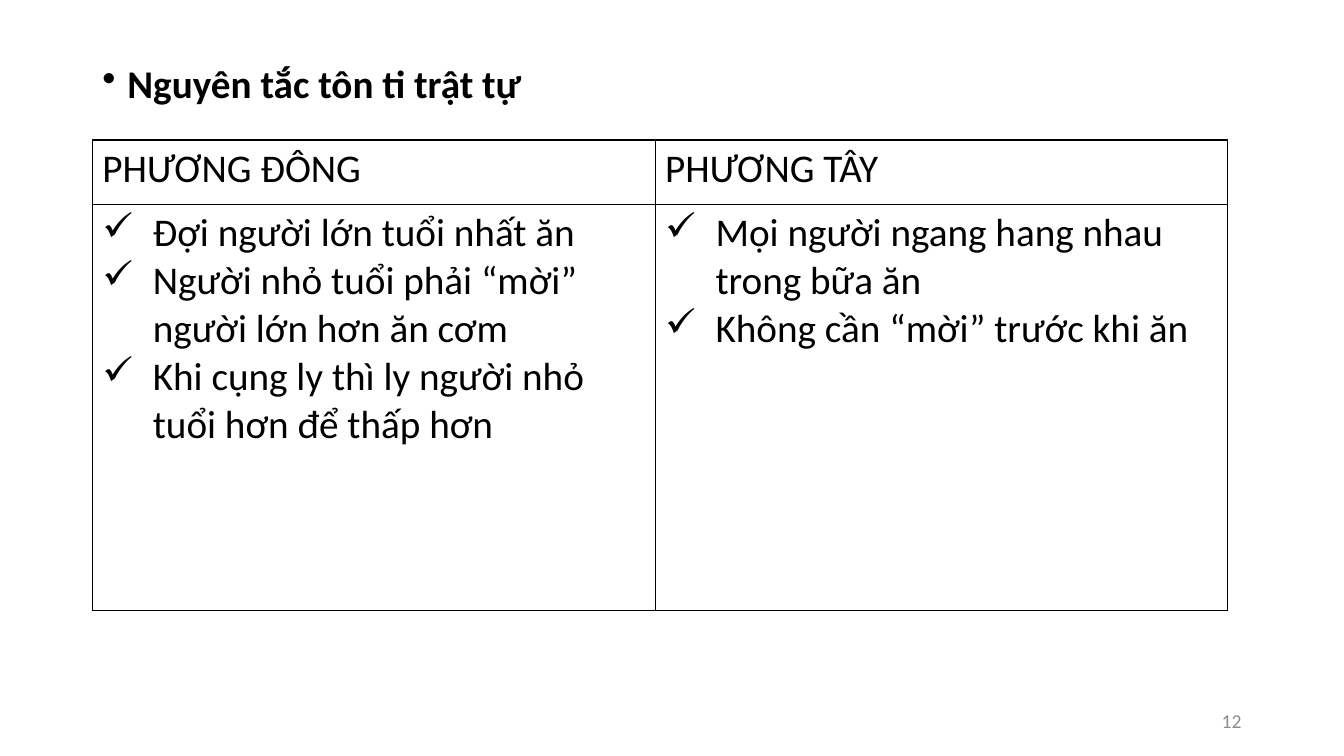
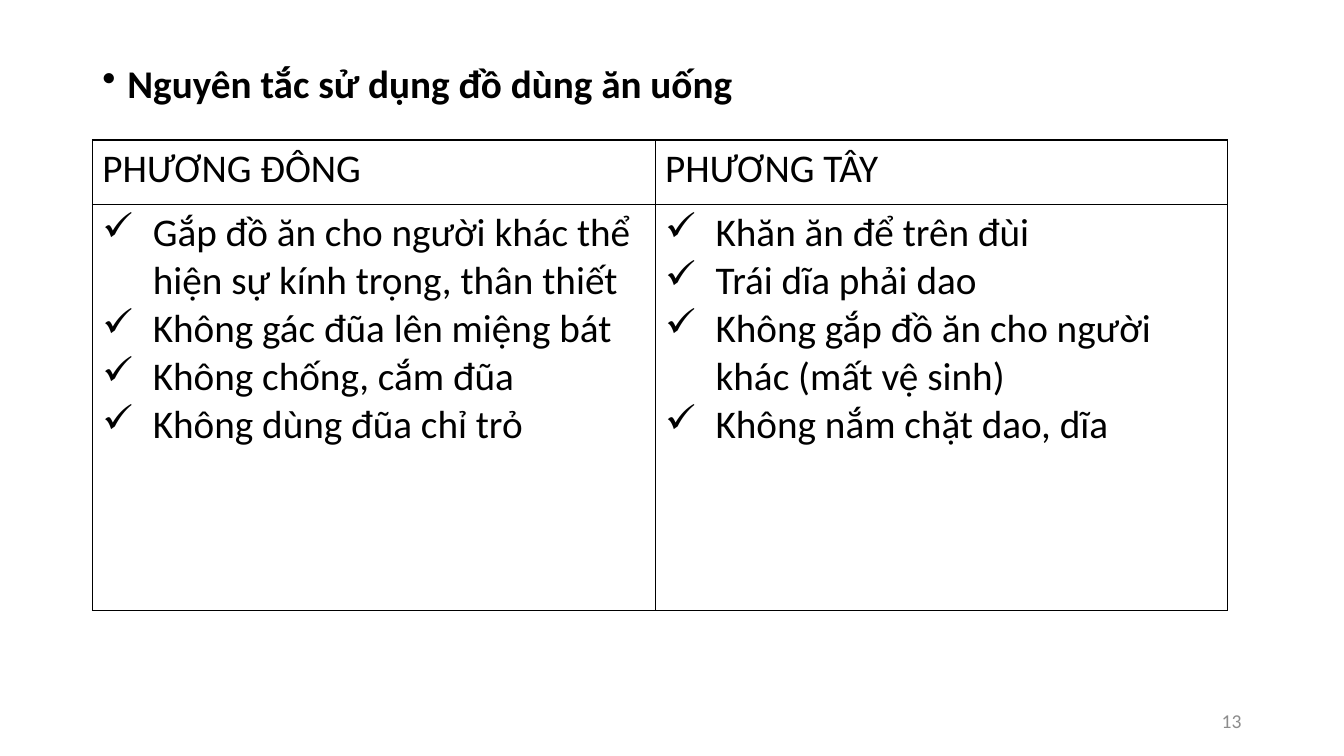
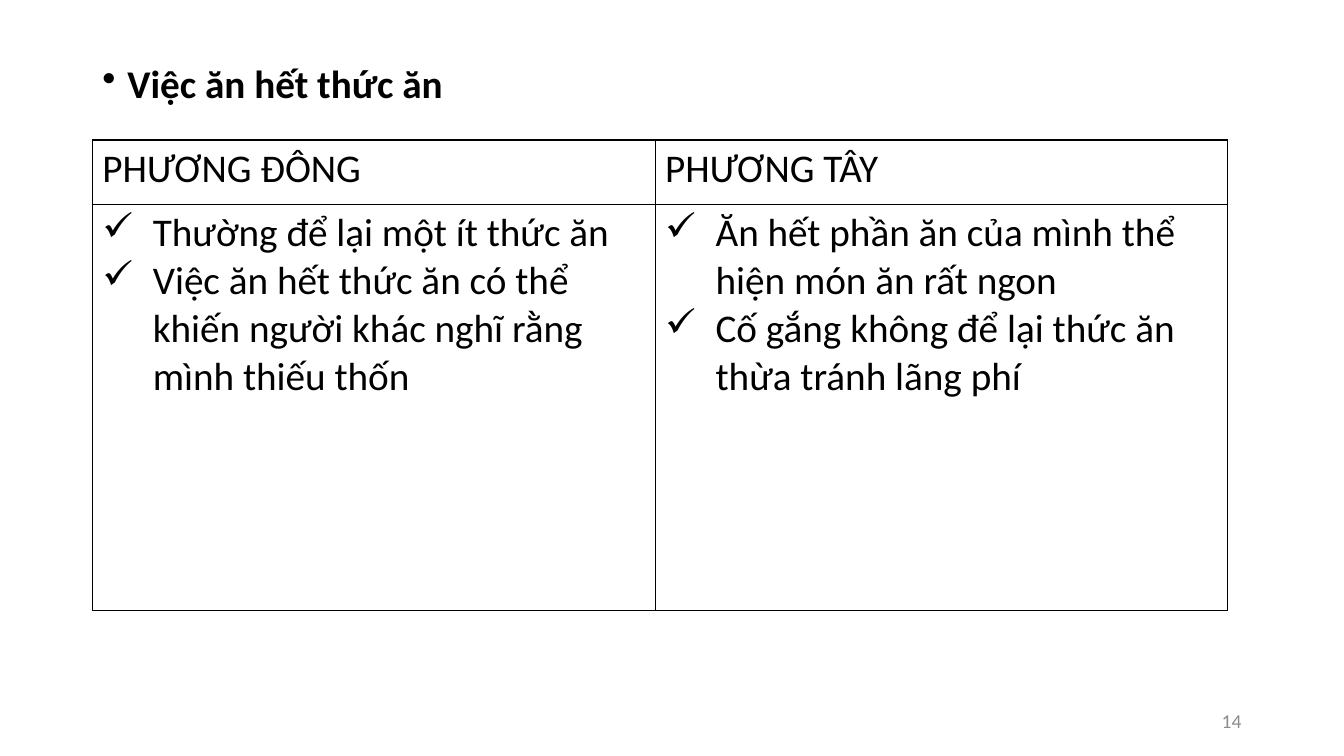
"""Build three slides comparing Eastern and Western table manners."""
import pptx
import pptx.dml.color
import pptx.enum.text
import pptx.oxml
import pptx.oxml.ns
import pptx.util
from lxml import etree

Pt = pptx.util.Pt
qn = pptx.oxml.ns.qn

FONT, BLACK, GREY = "Calibri", "000000", "8C8C8C"
SIZE = 28
FIRST = 12
HEADS = ("PHƯƠNG ĐÔNG", "PHƯƠNG TÂY")
COLS = (402, 408.6)
ROWS = (46, 290)
LEFT = 66
SLIDES = [
    ("Nguyên tắc tôn ti trật tự",
     ["Đợi người lớn tuổi nhất ăn",
      "Người nhỏ tuổi phải “mời” người lớn hơn ăn cơm",
      "Khi cụng ly thì ly người nhỏ tuổi hơn để thấp hơn"],
     ["Mọi người ngang hang nhau trong bữa ăn",
      "Không cần “mời” trước khi ăn"]),
    ("Nguyên tắc sử dụng đồ dùng ăn uống",
     ["Gắp đồ ăn cho người khác thể hiện sự kính trọng, thân thiết",
      "Không gác đũa lên miệng bát",
      "Không chống, cắm đũa",
      "Không dùng đũa chỉ trỏ"],
     ["Khăn ăn để trên đùi",
      "Trái dĩa phải dao",
      "Không gắp đồ ăn cho người khác (mất vệ sinh)",
      "Không nắm chặt dao, dĩa"]),
    ("Việc ăn hết thức ăn",
     ["Thường để lại một ít thức ăn",
      "Việc ăn hết thức ăn có thể khiến người khác nghĩ rằng mình thiếu thốn"],
     ["Ăn hết phần ăn của mình thể hiện món ăn rất ngon",
      "Cố gắng không để lại thức ăn thừa tránh lãng phí"]),
]


def color(code):
    return pptx.dml.color.RGBColor.from_string(code)


def style(para, size=SIZE, code=BLACK, bold=False):
    font = para.font
    font.name, font.size, font.bold = FONT, Pt(size), bold
    font.color.rgb = color(code)


def bullet(para, mark, indent):
    props = para._p.get_or_add_pPr()
    props.set("marL", str(Pt(indent)))
    props.set("indent", str(-Pt(indent)))
    etree.SubElement(props, qn("a:buChar"), char=mark)


def add_box(slide, text, left, top, width, height):
    frame = slide.shapes.add_textbox(
        Pt(left), Pt(top), Pt(width), Pt(height)).text_frame
    frame.word_wrap = True
    frame.text = text
    return frame, frame.paragraphs[0]


def add_title(slide, text):
    para = add_box(slide, text, LEFT, 42.5, 828, 49)[1]
    bullet(para, "•", 18)
    para.line_spacing = 0.9
    style(para, bold=True)


def add_number(slide, number):
    frame, para = add_box(slide, str(number), 678, 500.5, 216, 28.75)
    frame.vertical_anchor = pptx.enum.text.MSO_ANCHOR.MIDDLE
    para.alignment = pptx.enum.text.PP_ALIGN.RIGHT
    style(para, 14, GREY)


def fill_cell(cell, lines, mark=None):
    cell.text = "\n".join(lines)
    for para in cell.text_frame.paragraphs:
        if mark:
            bullet(para, mark, 36)
        style(para)
    props = cell._tc.get_or_add_tcPr()
    for side in "LRTB":
        line = etree.SubElement(props, qn(f"a:ln{side}"), w=str(Pt(1)))
        solid = etree.SubElement(line, qn("a:solidFill"))
        etree.SubElement(solid, qn("a:srgbClr"), val=BLACK)
    cell.fill.background()


def add_grid(slide, sides):
    table = slide.shapes.add_table(
        len(ROWS), len(COLS), Pt(LEFT), Pt(100),
        Pt(sum(COLS)), Pt(sum(ROWS))).table
    table.first_row = table.horz_banding = False
    for row, height in zip(table.rows, ROWS):
        row.height = Pt(height)
    for col, width in enumerate(COLS):
        table.columns[col].width = Pt(width)
        fill_cell(table.cell(0, col), [HEADS[col]])
        fill_cell(table.cell(1, col), sides[col], "✓")


def main():
    deck = pptx.Presentation()
    deck.slide_width, deck.slide_height = Pt(960), Pt(540)
    for number, (title, *sides) in enumerate(SLIDES, FIRST):
        slide = deck.slides.add_slide(deck.slide_layouts[6])
        add_number(slide, number)
        add_title(slide, title)
        add_grid(slide, sides)
    deck.save("out.pptx")


if __name__ == "__main__":
    main()
